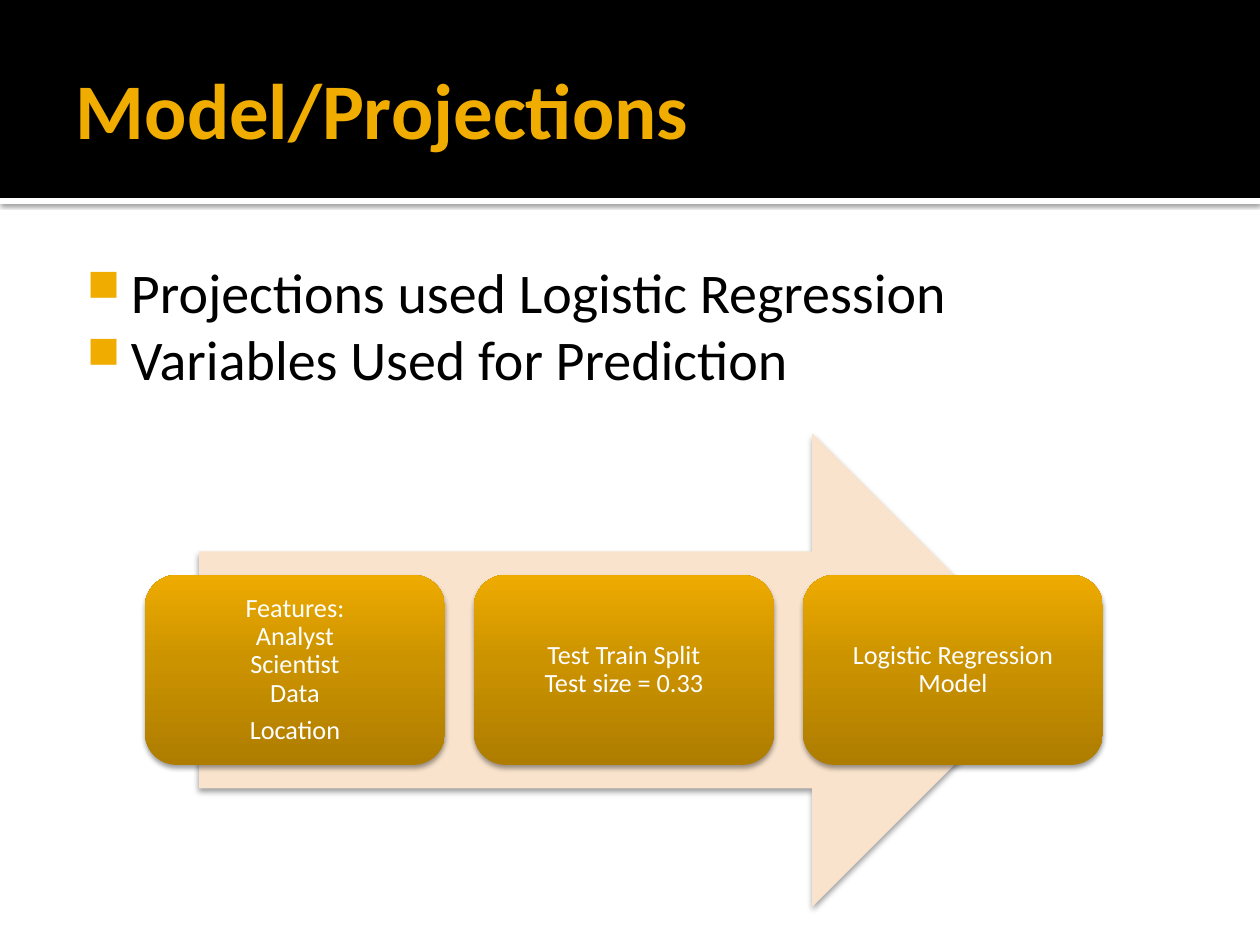
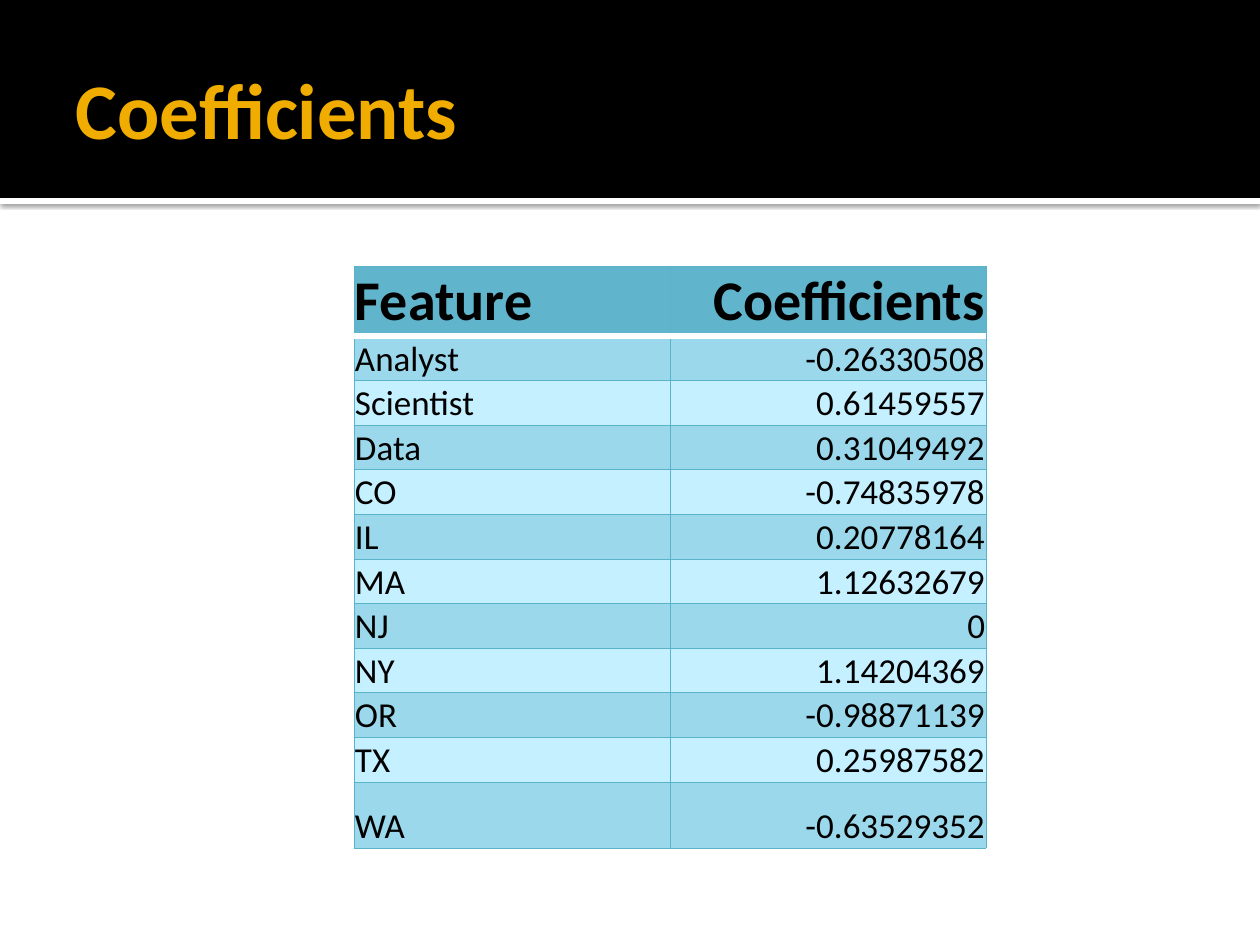
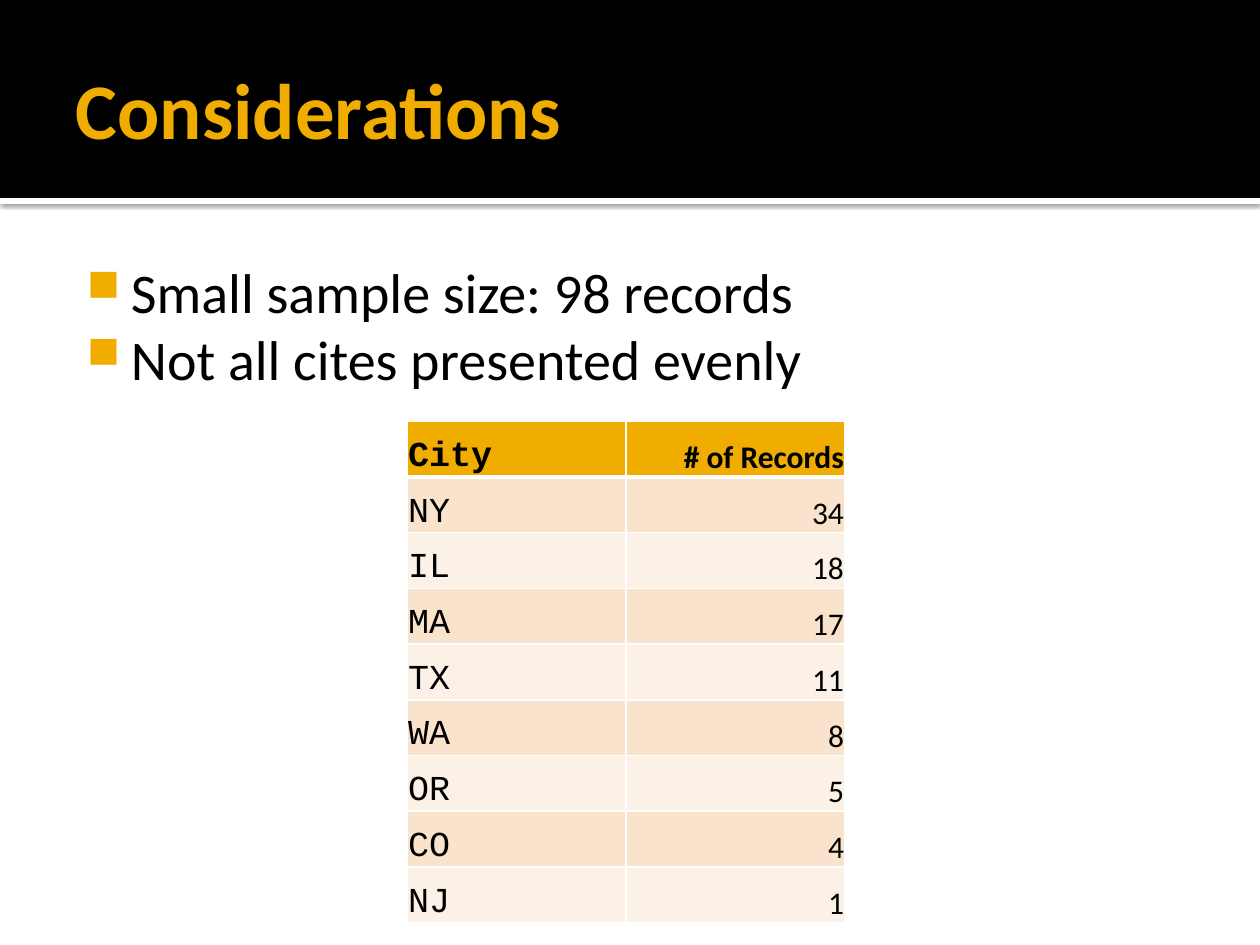
import copy

from lxml import etree
from pptx import Presentation
from pptx import util as u
from pptx.dml.color import RGBColor
from pptx.enum import shapes, text
from pptx.oxml import ns

SCALE = 914400 / 126
W, H = 1260, 945
C = {
    "black": "000000", "white": "FFFFFF", "gold": "F0AD00",
    "gold_dark": "AE7D00", "gold_mid": "CC9300", "gold_light": "EEAB00",
    "peach": "F9E3CC", "peach_pale": "FCF1E7",
    "blue": "60B5CC", "blue_line": "5BB3CA",
    "blue_band": "9CD8EB", "blue_pale": "C5F0FF",
}
ALIGN, ANCHOR, SHAPE = text.PP_ALIGN, text.MSO_ANCHOR, shapes.MSO_SHAPE
TITLE_BOX = (63, 22, 1134, 172)
BODY_BOX = (63, 244, 1134, 638)


# Shared helpers
def px(n):
    return u.Emu(round(n * SCALE))


def rgb(name):
    return RGBColor.from_string(C[name])


def apply(obj, **values):
    for name, value in values.items():
        setattr(obj, name, value)


def sub(parent, tag, **attrs):
    return etree.SubElement(parent, ns.qn(tag), {k: str(v) for k, v in attrs.items()})


def set_frame(tf, insets, anchor=ANCHOR.TOP):
    left, top, right, bottom = map(px, insets)
    apply(tf, margin_left=left, margin_top=top, margin_right=right,
          margin_bottom=bottom, vertical_anchor=anchor, word_wrap=True)


def write(p, words, size, color="black", font="Calibri", bold=False, **para):
    p.text = words
    apply(p, **para)
    for r in p.runs:
        apply(r.font, size=u.Pt(size), name=font, bold=bold)
        r.font.color.rgb = rgb(color)


def paragraphs(tf, count):
    return [tf.paragraphs[0]] + [tf.add_paragraph() for _ in range(count - 1)]


def add_shadow(sp, alpha, blur, dist):
    effects = sp._element.spPr.find(ns.qn("a:effectLst"))
    shadow = sub(effects, "a:outerShdw", blurRad=u.Pt(blur), dist=u.Pt(dist),
                 dir=5400000, algn="t", rotWithShape=0)
    sub(sub(shadow, "a:srgbClr", val=C["black"]), "a:alpha", val=alpha * 1000)


def add_block(s, kind, box, color):
    sp = s.shapes.add_shape(kind, *map(px, box))
    sp.shadow.inherit = False
    sp.fill.solid()
    sp.fill.fore_color.rgb = rgb(color)
    sp.line.fill.background()
    return sp


# Slide frame: black band, white strip with shadow, title
def titled_slide(prs, title):
    s = prs.slides.add_slide(prs.slide_layouts[5])
    strip = add_block(s, SHAPE.RECTANGLE, (0, 198, W, 6), "white")
    add_shadow(strip, 60, 2.5, 0.8)
    band = add_block(s, SHAPE.RECTANGLE, (0, 0, W, 198), "black")
    sp = s.shapes.title
    s.shapes._spTree.append(sp._element)  # title in front of the band
    apply(sp, **dict(zip(("left", "top", "width", "height"), map(px, TITLE_BOX))))
    set_frame(sp.text_frame, (13, 6, 6, 6), ANCHOR.MIDDLE)
    write(sp.text_frame.paragraphs[0], title, 45, "gold", bold=True,
          alignment=ALIGN.LEFT)
    return s


# Bulleted text
def add_bullets(s, box, items):
    tf = s.shapes.add_textbox(*map(px, box)).text_frame
    set_frame(tf, (8, 13, 13, 6))
    for p, item in zip(paragraphs(tf, len(items)), items):
        write(p, item, 32)
        pPr = p._p.get_or_add_pPr()
        pPr.set("marL", str(px(60)))
        pPr.set("indent", str(px(-44)))
        sub(sub(pPr, "a:buClr"), "a:srgbClr", val=C["gold"])
        sub(pPr, "a:buSzPct", val=80000)
        sub(pPr, "a:buChar", char="■")


# Process: steps spread over a wide arrow
def add_step(s, box, lines):
    sp = add_block(s, SHAPE.ROUNDED_RECTANGLE, box, "gold")
    add_shadow(sp, 38, 3.1, 2)
    sp.fill.gradient()
    stops = sp._element.spPr.find(".//" + ns.qn("a:gsLst"))
    stops.append(copy.deepcopy(stops[0]))
    sp.fill.gradient_angle = 90
    shades = (("gold_dark", 0), ("gold_mid", 0.55), ("gold_light", 1))
    for stop, (color, position) in zip(sp.fill.gradient_stops, shades):
        stop.color.rgb = rgb(color)
        stop.position = position
    set_frame(sp.text_frame, (8, 8, 8, 8), ANCHOR.MIDDLE)
    for p, line in zip(paragraphs(sp.text_frame, len(lines)), lines):
        write(p, line, 15, "white", alignment=ALIGN.CENTER,
              line_spacing=0.9, space_after=u.Pt(5.25))


def add_process(s, box, steps):
    x, y, w, h = box
    gap, inset = 29, 54
    arrow = add_block(s, SHAPE.RIGHT_ARROW, (x + inset, y, w - 2 * inset, h), "peach")
    add_shadow(arrow, 38, 3.1, 2)
    step_w = (w - gap * (len(steps) - 1)) // len(steps)
    step_h = round(h * 0.4)
    for i, lines in enumerate(steps):
        add_step(s, (x + i * (step_w + gap), y + (h - step_h) // 2, step_w, step_h), lines)


# Tables
def set_borders(cell, color, widths):
    tcPr = cell._tc.get_or_add_tcPr()
    for side, width in zip("LRTB", widths):
        ln = sub(tcPr, f"a:ln{side}", w=u.Pt(width))
        sub(sub(ln, "a:solidFill"), "a:srgbClr", val=C[color])


def add_data_table(s, box, rows, heights, look):
    """heights: header, all rows between, last row."""
    x, y, w, h = map(px, box)
    table = s.shapes.add_table(len(rows), 2, x, y, w, h).table
    apply(table, horz_banding=False)
    header_h, middle_h, last_h = map(px, heights)
    middle = len(rows) - 2
    row_heights = [header_h] + [middle_h // middle] * middle + [last_h]
    thin, rule = look["line"], look["rule"]
    for i, (values, height) in enumerate(zip(rows, row_heights)):
        table.rows[i].height = height
        fill = look["header"] if i == 0 else look["bands"][(i - 1) % 2]
        widths = (thin, thin, rule if i == 1 else thin, rule if i == 0 else thin)
        for j, value in enumerate(values):
            cell = table.cell(i, j)
            set_borders(cell, look["line_color"], widths[:3] + (thin,))
            if i == 0:
                bottom = cell._tc.tcPr.find(ns.qn("a:lnB"))
                bottom.set("w", str(u.Pt(rule)))
                bottom.find(".//" + ns.qn("a:srgbClr")).set("val", C["white"])
            elif i == 1:
                top = cell._tc.tcPr.find(ns.qn("a:lnT"))
                top.find(".//" + ns.qn("a:srgbClr")).set("val", C["white"])
            cell.fill.solid()
            cell.fill.fore_color.rgb = rgb(fill)
            apply(cell, margin_left=px(1), margin_right=px(1), margin_top=px(1),
                  margin_bottom=0, vertical_anchor=ANCHOR.BOTTOM)
            font, header_size, size = look["columns"][j]
            write(cell.text_frame.paragraphs[0], value, size if i else header_size,
                  font=font, bold=i == 0, alignment=(ALIGN.LEFT, ALIGN.RIGHT)[j])


BLUE_LOOK = dict(header="blue", bands=("blue_band", "blue_pale"),
                 line_color="blue_line", line=0.5, rule=3.78,
                 columns=[("Calibri", 32, 20)] * 2)
GOLD_LOOK = dict(header="gold", bands=("peach", "peach_pale"),
                 line_color="white", line=1, rule=3,
                 columns=[("Courier New", 20, 20), ("Calibri", 18, 18)])

STEPS = [
    ["Features:\nAnalyst\nScientist\nData", "Location"],
    ["Test Train Split\nTest size = 0.33"],
    ["Logistic Regression Model"],
]
COEFFICIENTS = [
    ("Feature", "Coefficients"),
    ("Analyst", "-0.26330508"), ("Scientist", "0.61459557"),
    ("Data", "0.31049492"), ("CO", "-0.74835978"), ("IL", "0.20778164"),
    ("MA", "1.12632679"), ("NJ", "0"), ("NY", "1.14204369"),
    ("OR", "-0.98871139"), ("TX", "0.25987582"), ("WA", "-0.63529352"),
]
RECORDS = [
    ("City", "# of Records"), ("NY", "34"), ("IL", "18"), ("MA", "17"),
    ("TX", "11"), ("WA", "8"), ("OR", "5"), ("CO", "4"), ("NJ", "1"),
]


def main():
    prs = Presentation()
    apply(prs, slide_width=px(W), slide_height=px(H))

    s = titled_slide(prs, "Model/Projections")
    add_bullets(s, BODY_BOX, ["Projections used Logistic Regression",
                              "Variables Used for Prediction"])
    add_process(s, (145, 433, 958, 474), STEPS)

    s = titled_slide(prs, "Coefficients")
    add_data_table(s, (354, 266, 632, 582), COEFFICIENTS, (70, 446, 66), BLUE_LOOK)

    s = titled_slide(prs, "Considerations")
    add_bullets(s, BODY_BOX, ["Small sample size: 98 records",
                              "Not all cites presented evenly"])
    add_data_table(s, (407, 421, 438, 502), RECORDS, (56, 390, 56), GOLD_LOOK)

    prs.save("out.pptx")


if __name__ == "__main__":
    main()
